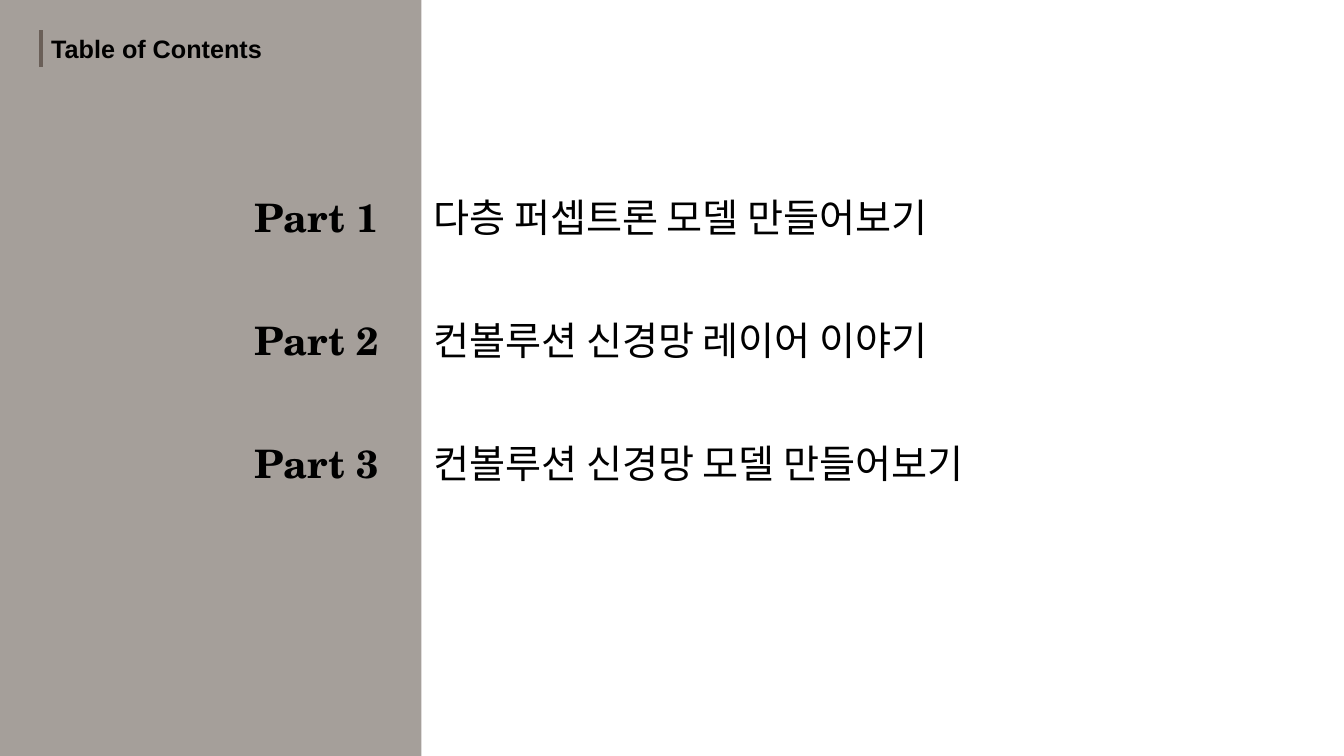
from dataclasses import dataclass

from lxml import etree
from pptx import Presentation
from pptx.dml.color import RGBColor
from pptx.enum.shapes import MSO_CONNECTOR, MSO_SHAPE
from pptx.enum.text import MSO_AUTO_SIZE
from pptx.oxml.ns import qn
from pptx.slide import Slide
from pptx.util import Cm, Pt

RECTANGLE = MSO_SHAPE.RECTANGLE
STRAIGHT = MSO_CONNECTOR.STRAIGHT
FIT_SHAPE = MSO_AUTO_SIZE.SHAPE_TO_FIT_TEXT

TAUPE = RGBColor(0x6A, 0x5F, 0x58)
BLACK = RGBColor(0x00, 0x00, 0x00)

SLIDE_WIDTH, SLIDE_HEIGHT = 33.87, 19.05
SIDEBAR_WIDTH = 10.62
SIDEBAR_OPACITY = 60
HEADING_LEFT = 1.04
PART_LEFT, PART_WIDTH = 6.17, 3.68
TOPIC_LEFT = 10.67
FIRST_ROW_TOP, ROW_STEP, ROW_HEIGHT = 4.75, 3.1, 1.45


@dataclass(frozen=True)
class Chapter:
    topic: str
    topic_width: float


@dataclass(frozen=True)
class TextStyle:
    name: str
    size: int
    bold: bool
    wrap: bool


HEADING_STYLE = TextStyle("Arial", 18, True, False)
PART_STYLE = TextStyle("TeX Gyre Schola", 28, True, False)
TOPIC_STYLE = TextStyle("Noto Sans CJK KR", 28, False, True)

CHAPTERS = [
    Chapter("다층 퍼셉트론 모델 만들어보기", 16.76),
    Chapter("컨볼루션 신경망 레이어 이야기", 17.75),
    Chapter("컨볼루션 신경망 모델 만들어보기", 17.5),
]


def add_label(slide: Slide, text: str, left: float, top: float,
              width: float, height: float, style: TextStyle) -> None:
    label = slide.shapes.add_textbox(Cm(left), Cm(top), Cm(width), Cm(height))
    frame = label.text_frame
    frame.word_wrap = style.wrap
    frame.auto_size = FIT_SHAPE
    run = frame.paragraphs[0].add_run()
    run.text = text
    run.font.color.rgb = BLACK
    font_format = {"name": style.name, "size": Pt(style.size), "bold": style.bold}
    for attribute, value in font_format.items():
        setattr(run.font, attribute, value)
    east_asian = etree.SubElement(run._r.get_or_add_rPr(), qn("a:ea"))
    east_asian.set("typeface", style.name)


def add_sidebar(slide: Slide) -> None:
    sidebar = slide.shapes.add_shape(
        RECTANGLE, 0, 0, Cm(SIDEBAR_WIDTH), Cm(SLIDE_HEIGHT))
    sidebar.shadow.inherit = False
    sidebar.fill.solid()
    sidebar.fill.fore_color.rgb = TAUPE
    sidebar.line.fill.background()
    tint = sidebar._element.spPr.find(qn("a:solidFill")).find(qn("a:srgbClr"))
    etree.SubElement(tint, qn("a:alpha")).set("val", str(SIDEBAR_OPACITY * 1000))


def add_heading(slide: Slide) -> None:
    add_label(slide, "Table of Contents", HEADING_LEFT, 0.71, 5.87, 1.02,
              HEADING_STYLE)
    accent = slide.shapes.add_connector(
        STRAIGHT, Cm(HEADING_LEFT), Cm(0.76), Cm(HEADING_LEFT), Cm(1.7))
    accent.line.color.rgb = TAUPE
    accent.line.width = Pt(3)
    etree.SubElement(accent._element.spPr, qn("a:effectLst"))


def add_chapter(slide: Slide, index: int, chapter: Chapter) -> None:
    top = FIRST_ROW_TOP + index * ROW_STEP
    add_label(slide, chapter.topic, TOPIC_LEFT, top, chapter.topic_width,
              ROW_HEIGHT, TOPIC_STYLE)
    add_label(slide, f"Part {index + 1}", PART_LEFT, top, PART_WIDTH,
              ROW_HEIGHT, PART_STYLE)


def main() -> None:
    presentation = Presentation()
    presentation.slide_width = Cm(SLIDE_WIDTH)
    presentation.slide_height = Cm(SLIDE_HEIGHT)
    slide = presentation.slides.add_slide(presentation.slide_layouts[6])
    add_sidebar(slide)
    for index, chapter in enumerate(CHAPTERS):
        add_chapter(slide, index, chapter)
    add_heading(slide)
    presentation.save("out.pptx")


if __name__ == "__main__":
    main()
